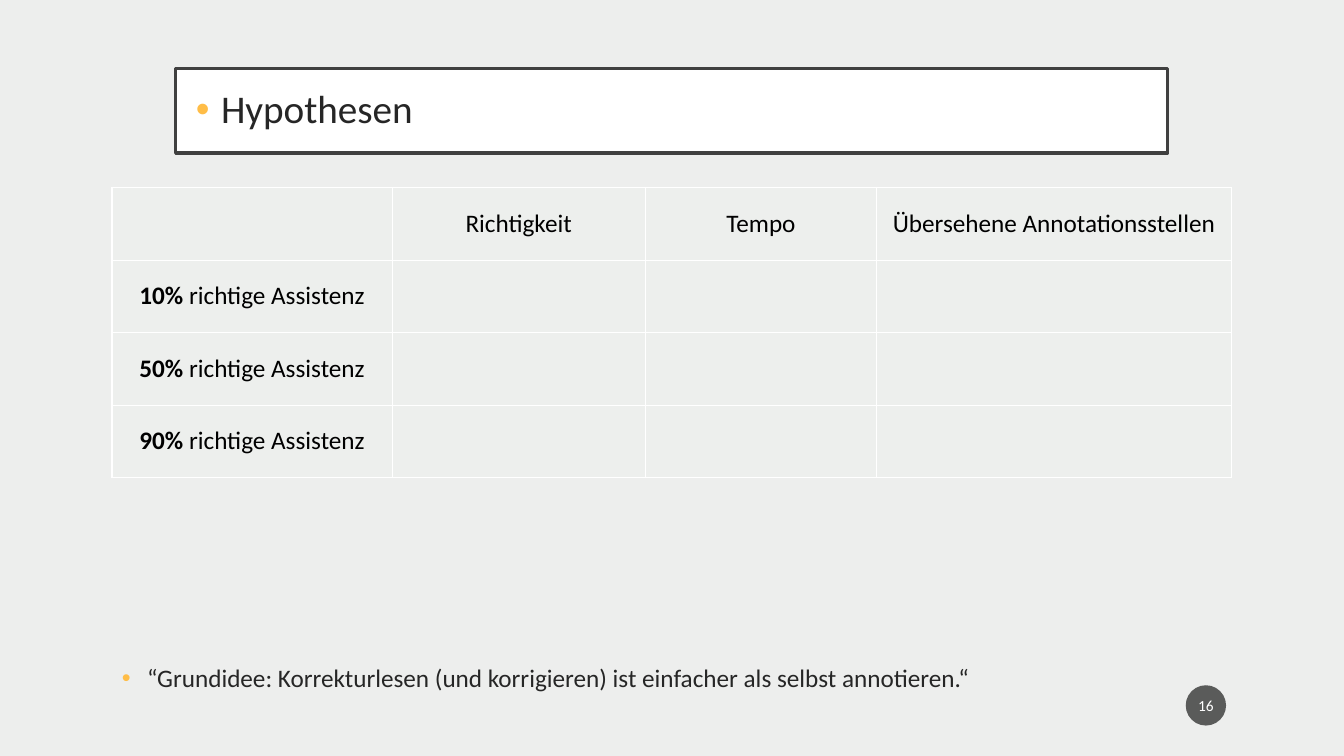
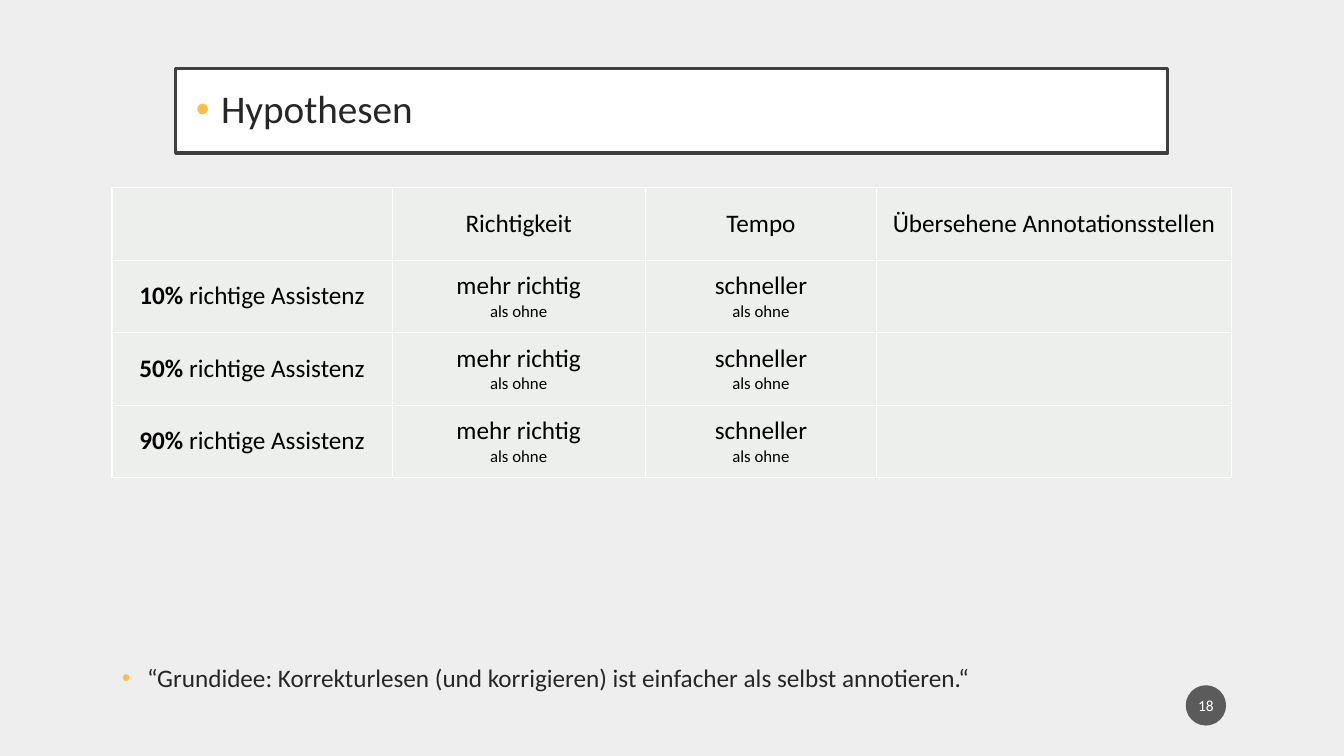
from dataclasses import dataclass
from typing import NamedTuple

from lxml.etree import SubElement
from pptx import Presentation
from pptx.dml.color import RGBColor
from pptx.enum.shapes import MSO_SHAPE
from pptx.enum.text import MSO_ANCHOR, PP_ALIGN
from pptx.oxml import parse_xml
from pptx.oxml.ns import nsdecls, qn
from pptx.util import Pt


@dataclass(frozen=True)
class Theme:
    font: str = "Calibri"
    background: str = "EDEEED"
    panel: str = "FFFFFF"
    frame: str = "404040"
    text: str = "262626"
    accent: str = "FFBD47"
    badge: str = "1D1D1D"
    badge_alpha: int = 70
    badge_text: str = "FFFFFF"
    cell: str = "EDEFED"
    cell_text: str = "000000"
    border: str = "FFFFFF"
    title_size: float = 28
    body_size: float = 18
    note_size: float = 12
    number_size: float = 11


class Box(NamedTuple):
    left: float
    top: float
    width: float
    height: float

    def emu(self) -> list:
        return [Pt(v) for v in self]


class Run(NamedTuple):
    text: str
    size: float
    color: str
    bold: bool = False


@dataclass(frozen=True)
class HypothesisSlide:
    number: int
    correctness: str = ""
    speed: str = ""


THEME = Theme()
TITLE_BOX = Box(125.5, 49, 708.5, 60.5)
TABLE_BOX = Box(80, 134, 799.5, 207.2)
QUOTE_BOX = Box(80, 394.5, 754, 104)
BADGE_BOX = Box(847, 489.5, 28.8, 28.8)
COLUMN_WIDTHS = (200.2, 180.7, 165.4, 253.2)

TITLE = "Hypothesen"
QUOTE = "“Grundidee: Korrekturlesen (und korrigieren) ist einfacher als selbst annotieren.“"
HEADERS = ("", "Richtigkeit", "Tempo", "Übersehene Annotationsstellen")
ASSISTANCE_LEVELS = ("10%", "50%", "90%")
ASSISTANCE_LABEL = " richtige Assistenz"
COMPARISON = "als ohne"
SLIDES = (
    HypothesisSlide(16),
    HypothesisSlide(18, "mehr richtig", "schneller"),
)


def rgb(color: str) -> RGBColor:
    return RGBColor.from_string(color)


def add_run(p, run: Run) -> None:
    r = p.add_run()
    r.text = run.text
    r.font.name = THEME.font
    r.font.size = Pt(run.size)
    r.font.bold = run.bold
    r.font.color.rgb = rgb(run.color)


def add_bullet(p) -> None:
    pPr = p._p.get_or_add_pPr()
    pPr.set("marL", str(Pt(18)))
    pPr.set("indent", str(Pt(-18)))
    color = SubElement(pPr, qn("a:buClr"))
    SubElement(color, qn("a:srgbClr")).set("val", THEME.accent)
    SubElement(pPr, qn("a:buFont")).set("typeface", "Arial")
    SubElement(pPr, qn("a:buChar")).set("char", "•")


def set_insets(tf, x: float, y: float) -> None:
    tf.margin_left = tf.margin_right = Pt(x)
    tf.margin_top = tf.margin_bottom = Pt(y)


def add_panel(s, kind: MSO_SHAPE, box: Box, fill: str):
    sp = s.shapes.add_shape(kind, *box.emu())
    sp.shadow.inherit = False
    sp.fill.solid()
    sp.fill.fore_color.rgb = rgb(fill)
    sp.line.fill.background()
    sp.text_frame.word_wrap = True
    sp.text_frame.vertical_anchor = MSO_ANCHOR.MIDDLE
    return sp


def add_title(s) -> None:
    sp = add_panel(s, MSO_SHAPE.RECTANGLE, TITLE_BOX, THEME.panel)
    sp.line.color.rgb = rgb(THEME.frame)
    sp.line.width = Pt(2.5)
    set_insets(sp.text_frame, 14.4, 14.4)
    p = sp.text_frame.paragraphs[0]
    p.alignment = PP_ALIGN.LEFT
    p.line_spacing = 0.9
    add_bullet(p)
    add_run(p, Run(TITLE, THEME.title_size, THEME.text))


def add_page_number(s, number: int) -> None:
    sp = add_panel(s, MSO_SHAPE.OVAL, BADGE_BOX, THEME.badge)
    color = sp._element.spPr.find(qn("a:solidFill")).find(qn("a:srgbClr"))
    SubElement(color, qn("a:alpha")).set("val", str(THEME.badge_alpha * 1000))
    set_insets(sp.text_frame, 1.4, 3.6)
    p = sp.text_frame.paragraphs[0]
    p.alignment = PP_ALIGN.CENTER
    add_run(p, Run(str(number), THEME.number_size, THEME.badge_text))


def add_quote(s) -> None:
    tf = s.shapes.add_textbox(*QUOTE_BOX.emu()).text_frame
    tf.word_wrap = True
    tf.vertical_anchor = MSO_ANCHOR.BOTTOM
    p = tf.paragraphs[0]
    p.space_before = Pt(10)
    add_bullet(p)
    add_run(p, Run(QUOTE, THEME.body_size, THEME.text))


def fill_cell(cell, paragraphs: list[list[Run]]) -> None:
    cell.fill.solid()
    cell.fill.fore_color.rgb = rgb(THEME.cell)
    cell.vertical_anchor = MSO_ANCHOR.MIDDLE
    # Borders come before the fill in the cell properties
    tcPr = cell._tc.get_or_add_tcPr()
    for i, side in enumerate("LRTB"):
        tcPr.insert(i, parse_xml(
            f'<a:ln{side} {nsdecls("a")} w="{Pt(1)}"><a:solidFill>'
            f'<a:srgbClr val="{THEME.border}"/></a:solidFill></a:ln{side}>'))
    tf = cell.text_frame
    for i, runs in enumerate(paragraphs):
        p = tf.add_paragraph() if i else tf.paragraphs[0]
        p.alignment = PP_ALIGN.CENTER
        for run in runs:
            add_run(p, run)


def body_run(text: str, bold: bool = False) -> Run:
    return Run(text, THEME.body_size, THEME.cell_text, bold)


def claim(text: str) -> list[list[Run]]:
    if not text:
        return []
    return [[body_run(text)], [Run(COMPARISON, THEME.note_size, THEME.cell_text)]]


def add_hypotheses(s, content: HypothesisSlide) -> None:
    rows = [[[[body_run(h)]] if h else [] for h in HEADERS]]
    for level in ASSISTANCE_LEVELS:
        label = [[body_run(level, bold=True), body_run(ASSISTANCE_LABEL)]]
        rows.append([label, claim(content.correctness), claim(content.speed), []])

    table = s.shapes.add_table(len(rows), len(HEADERS), *TABLE_BOX.emu()).table
    table.first_row = table.horz_banding = False
    for column, width in zip(table.columns, COLUMN_WIDTHS):
        column.width = Pt(width)
    for r, row in enumerate(rows):
        table.rows[r].height = Pt(TABLE_BOX.height / len(rows))
        for c, paragraphs in enumerate(row):
            fill_cell(table.cell(r, c), paragraphs)


def main() -> None:
    prs = Presentation()
    prs.slide_width, prs.slide_height = Pt(960), Pt(540)
    # Shared background
    background = prs.slide_master.background.fill
    background.solid()
    background.fore_color.rgb = rgb(THEME.background)

    for content in SLIDES:
        s = prs.slides.add_slide(prs.slide_layouts[6])
        add_page_number(s, content.number)
        add_title(s)
        add_hypotheses(s, content)
        add_quote(s)
    prs.save("out.pptx")


if __name__ == "__main__":
    main()
